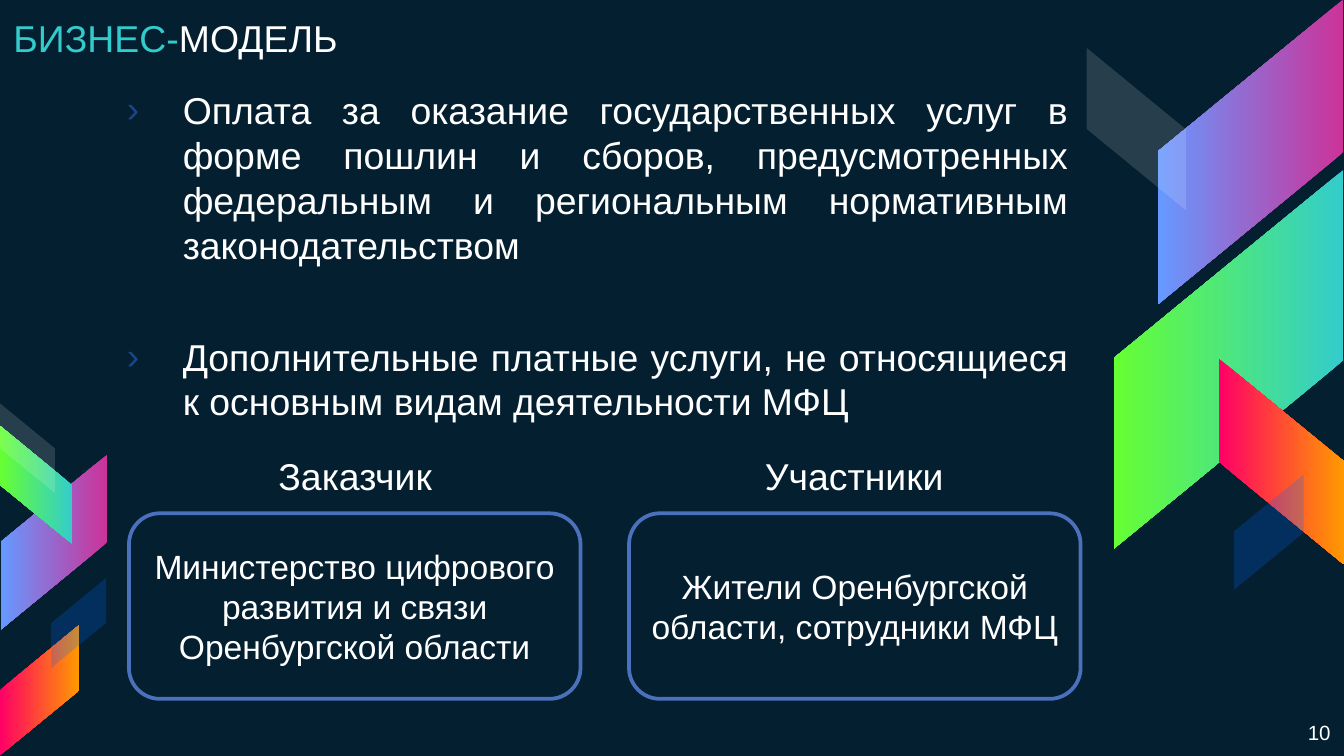
from dataclasses import dataclass

from lxml import etree
from pptx import Presentation
from pptx.dml.color import RGBColor
from pptx.enum.shapes import MSO_SHAPE as Shape
from pptx.enum.text import MSO_ANCHOR as Anchor, MSO_AUTO_SIZE as AutoSize, PP_ALIGN as Align
from pptx.oxml.ns import qn
from pptx.util import Pt


@dataclass(frozen=True)
class Theme:
    font: str = "Arial"
    background: str = "041F30"
    text: str = "FFFFFF"
    accent: str = "33CCCC"
    bullet: str = "1C4587"
    outline: str = "4B71BD"
    violet: tuple = ("CC3399", "6699FF")
    green: tuple = ("33CCCC", "66FF33")
    fire: tuple = ("FF0066", "FF9900")
    white_glass: tuple = ("FFFFFF", 14)
    blue_glass: tuple = ("0066FF", 23)
    heading_size: int = 20
    box_size: int = 18
    number_size: int = 11


theme = Theme()


def write(paragraph, text, size, align, color=theme.text):
    """Add one formatted run to an aligned paragraph."""
    paragraph.alignment = align
    run = paragraph.add_run()
    run.text = text
    run.font.color.rgb = RGBColor.from_string(color)
    for name, value in {"name": theme.font, "size": Pt(size), "bold": False}.items():
        setattr(run.font, name, value)


def prepare(shape, frame, anchor=Anchor.TOP, inset=7.2):
    """Place a shape and return its wrapping text frame."""
    for name, value in zip(("left", "top", "width", "height"), frame):
        setattr(shape, name, Pt(value))
    text_frame = shape.text_frame
    settings = {"word_wrap": True, "auto_size": AutoSize.NONE, "vertical_anchor": anchor}
    for side in ("left", "right", "top", "bottom"):
        settings[f"margin_{side}"] = Pt(inset)
    for name, value in settings.items():
        setattr(text_frame, name, value)
    return text_frame


presentation = Presentation()
presentation.slide_width = Pt(720)
presentation.slide_height = Pt(405)
slide = presentation.slides.add_slide(presentation.slide_layouts[1])
slide.background.fill.solid()
slide.background.fill.fore_color.rgb = RGBColor.from_string(theme.background)

# Ribbons: unrotated frame, rotation, mirrored, paint
ribbons = [
    ((588.2, 31.7, 163.4, 99.4), 90, True, theme.violet),
    ((556.6, 131, 203, 123.1), 90, True, theme.green),
    ((631.4, 213.8, 110.2, 67), 270, False, theme.fire),
    ((565.2, 42.5, 87.1, 53.3), 270, False, theme.white_glass),
    ((648.7, 266.4, 61.9, 37.4), 270, True, theme.blue_glass),
    ((-18, 262.1, 93.6, 56.9), 90, True, theme.violet),
    ((-12.2, 240.5, 63.4, 38.9), 90, False, theme.green),
    ((-13.7, 348.5, 69.8, 42.5), 270, True, theme.fire),
    ((-9.4, 225.4, 48.2, 29.5), 270, False, theme.white_glass),
    ((18, 319, 48.2, 29.5), 270, True, theme.blue_glass),
]
for frame, rotation, mirrored, (first, second) in ribbons:
    ribbon = slide.shapes.add_shape(Shape.PARALLELOGRAM, *map(Pt, frame))
    ribbon.shadow.inherit = False
    ribbon.line.fill.background()
    ribbon.adjustments[0] = 0.82
    ribbon.rotation = rotation
    if mirrored:
        ribbon._element.spPr.find(qn("a:xfrm")).set("flipH", "1")
    if isinstance(second, str):
        ribbon.fill.gradient()
        ribbon.fill.gradient_angle = 270
        for stop, color in zip(ribbon.fill.gradient_stops, (first, second)):
            stop.color.rgb = RGBColor.from_string(color)
    else:
        ribbon.fill.solid()
        ribbon.fill.fore_color.rgb = RGBColor.from_string(first)
        color_element = ribbon._element.spPr.find(".//" + qn("a:srgbClr"))
        etree.SubElement(color_element, qn("a:alpha"), val=str(second * 1000))

# Slide number
number = slide.shapes.add_textbox(0, 0, 0, 0)
number_text = prepare(number, (673.9, 378.7, 46.1, 25.9))
write(number_text.paragraphs[0], "10", theme.number_size, Align.RIGHT)

# Title
title = prepare(slide.shapes.title, (0, 0, 445, 39.6), Anchor.BOTTOM).paragraphs[0]
for text, color in (("БИЗНЕС-", theme.accent), ("МОДЕЛЬ", theme.text)):
    write(title, text, theme.heading_size, Align.LEFT, color)

# Income sources
sources = [
    ("Оплата за оказание государственных услуг в форме пошлин и сборов, "
     "предусмотренных федеральным и региональным нормативным законодательством", 6),
    ("Дополнительные платные услуги, не относящиеся к основным видам деятельности МФЦ", 36),
]
body = prepare(slide.placeholders[1], (54.7, 39.6, 524.9, 177.8))
for index, (text, space_before) in enumerate(sources):
    paragraph = body.add_paragraph() if index else body.paragraphs[0]
    write(paragraph, text, theme.heading_size, Align.JUSTIFY)
    paragraph.space_before = Pt(space_before)
    properties = paragraph._p.get_or_add_pPr()
    properties.set("marL", str(Pt(36)))
    properties.set("indent", str(Pt(-30)))
    bullet_color = etree.SubElement(properties, qn("a:buClr"))
    etree.SubElement(bullet_color, qn("a:srgbClr"), val=theme.bullet)
    etree.SubElement(properties, qn("a:buFont"), typeface=theme.font)
    etree.SubElement(properties, qn("a:buChar"), char="›")

# Parties: heading, its left and width, box left, box text
parties = [
    ("Заказчик", 136.1, 108, 69.1,
     "Министерство цифрового развития и связи Оренбургской области"),
    ("Участники", 396.7, 123.8, 337,
     "Жители Оренбургской области, сотрудники МФЦ"),
]
for heading, heading_left, heading_width, box_left, text in parties:
    box = slide.shapes.add_shape(Shape.ROUNDED_RECTANGLE, 0, 0, 0, 0)
    box.shadow.inherit = False
    box.fill.background()
    box.line.color.rgb = RGBColor.from_string(theme.outline)
    box.line.width = Pt(2)
    box_text = prepare(box, (box_left, 275, 241.9, 99.4), Anchor.MIDDLE)
    write(box_text.paragraphs[0], text, theme.box_size, Align.CENTER)

    label = slide.shapes.add_textbox(0, 0, 0, 0)
    paragraph = prepare(label, (heading_left, 235.4, heading_width, 39.6)).paragraphs[0]
    write(paragraph, heading, theme.heading_size, Align.JUSTIFY)
    paragraph.space_before = Pt(6)
    paragraph._p.get_or_add_pPr().set("marL", str(Pt(6)))

presentation.save("out.pptx")
